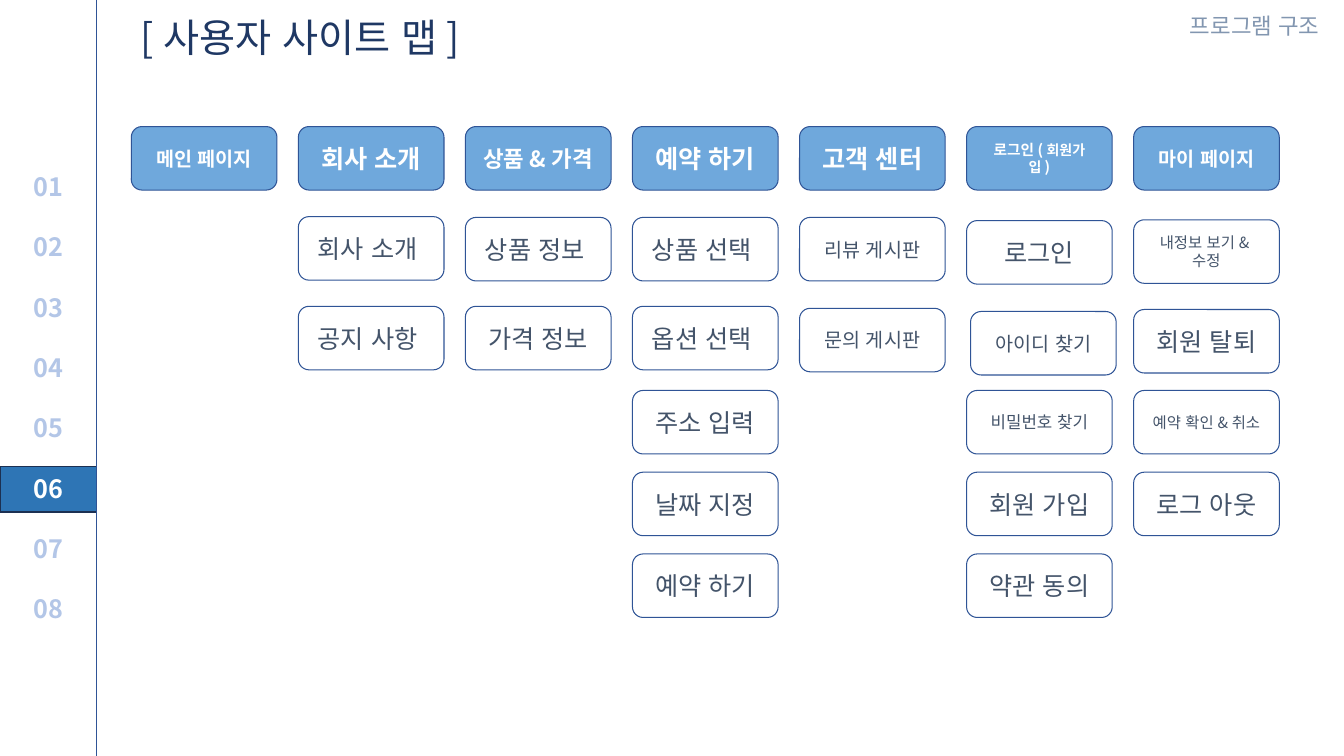
from dataclasses import dataclass

from lxml import etree
from pptx import Presentation
from pptx.dml.color import RGBColor
from pptx.enum.lang import MSO_LANGUAGE_ID
from pptx.enum.shapes import MSO_CONNECTOR, MSO_SHAPE
from pptx.enum.text import MSO_ANCHOR, PP_ALIGN
from pptx.oxml.ns import qn
from pptx.util import Cm, Pt

KOREAN = MSO_LANGUAGE_ID.KOREAN
STRAIGHT = MSO_CONNECTOR.STRAIGHT
RECTANGLE, ROUNDED = MSO_SHAPE.RECTANGLE, MSO_SHAPE.ROUNDED_RECTANGLE
MIDDLE, TOP = MSO_ANCHOR.MIDDLE, MSO_ANCHOR.TOP
CENTER, LEFT = PP_ALIGN.CENTER, PP_ALIGN.LEFT

TITLE = "[사용자 사이트 맵]"
SECTION = "프로그램 구조"
CHAPTERS = ["01", "02", "03", "04", "05", "06", "07", "08"]
CURRENT_CHAPTER = "06"

MENUS = [
    {"head": [("메인 페이지", 14)], "tops": (), "pages": []},
    {"head": [("회사 소개", 18)], "tops": (5.46, 7.72),
     "pages": [("회사 소개 ", 18), ("공지 사항 ", 18)]},
    {"head": [("상품&가격", 16)], "tops": (5.48, 7.72),
     "pages": [("상품 정보 ", 18), ("가격 정보", 18)]},
    {"head": [("예약 하기", 18)], "tops": (5.48, 7.72),
     "pages": [("상품 선택 ", 18), ("옵션 선택 ", 18), ("주소 입력", 18),
               ("날짜 지정", 18), ("예약 하기", 18)]},
    {"head": [("고객 센터", 18)], "tops": (5.48, 7.77),
     "pages": [("리뷰 게시판", 14), ("문의 게시판", 14)]},
    {"head": [("로그인(", 10.5), ("회원가입", 10), (")", 10.5)], "tops": (5.56, 7.85),
     "pages": [("로그인", 18), ("아이디 찾기", 14), ("비밀번호 찾기", 12),
               ("회원 가입", 18), ("약관 동의", 18)]},
    {"head": [("마이 페이지", 14)], "tops": (5.54, 7.8),
     "pages": [("내정보 보기&수정", 11), ("회원 탈퇴", 18), ("예약 확인&취소", 11),
               ("로그 아웃", 18)]},
]
SHIFTS = {"아이디 찾기": 0.1}


@dataclass(frozen=True)
class Theme:
    font: str = "Noto Sans CJK KR"
    white: str = "FFFFFF"
    navy: str = "1F3864"
    outline: str = "2F5496"
    header: str = "6FA8DC"
    body: str = "44546A"
    muted: str = "8296B0"
    chapter: str = "B3C6E7"
    marker: str = "2E75B5"
    marker_edge: str = "1C3052"
    title_size: float = 28
    section_size: float = 16
    chapter_size: float = 18
    chapter_gap: float = 21.5


THEME = Theme()
SLIDE_WIDTH, SLIDE_HEIGHT = 33.87, 19.05
SIDEBAR = 2.44
BOX_WIDTH, BOX_HEIGHT = 3.67, 1.6
GRID_LEFT, COLUMN_PITCH = 3.31, 4.21
HEAD_TOP, THIRD_TOP, ROW_PITCH = 3.19, 9.84, 2.06


def rgb(color):
    return RGBColor.from_string(color)


def add_span(para, text, *, size, color, bold=False):
    span = para.add_run()
    span.text = text
    font = span.font
    font.size, font.bold = Pt(size), bold
    font.color.rgb = rgb(color)
    font.name = THEME.font
    font.language_id = KOREAN
    east_asian = etree.SubElement(span._r.get_or_add_rPr(), qn("a:ea"))
    east_asian.set("typeface", THEME.font)


def set_frame(box, anchor, side, edge):
    frame = box.text_frame
    frame.word_wrap = True
    frame.vertical_anchor = anchor
    frame.margin_left = frame.margin_right = Cm(side)
    frame.margin_top = frame.margin_bottom = Cm(edge)
    return frame


def add_text(page, left, top, width, height):
    box = page.shapes.add_textbox(Cm(left), Cm(top), Cm(width), Cm(height))
    return set_frame(box, TOP, 0.25, 0.13)


def add_box(page, kind, left, top, width, height, *, fill, line, weight):
    box = page.shapes.add_shape(kind, Cm(left), Cm(top), Cm(width), Cm(height))
    box.shadow.inherit = False
    box.fill.solid()
    box.fill.fore_color.rgb = rgb(fill)
    box.line.color.rgb = rgb(line)
    box.line.width = Pt(weight)
    return box


def add_menu_box(page, left, top, spans, *, fill, color, bold=False):
    box = add_box(page, ROUNDED, left, top, BOX_WIDTH, BOX_HEIGHT,
                  fill=fill, line=THEME.outline, weight=0.75)
    para = set_frame(box, MIDDLE, 0.36, 0.32).paragraphs[0]
    para.alignment = CENTER
    for text, size in spans:
        add_span(para, text, size=size, color=color, bold=bold)


def add_sidebar(page):
    add_box(page, RECTANGLE, 0, 11.76, SIDEBAR, 1.14,
            fill=THEME.marker, line=THEME.marker_edge, weight=1)
    divider = page.shapes.add_connector(
        STRAIGHT, Cm(SIDEBAR), Cm(0), Cm(SIDEBAR), Cm(SLIDE_HEIGHT))
    divider.line.color.rgb = rgb(THEME.outline)
    divider.line.width = Pt(0.75)
    etree.SubElement(divider._element.spPr, qn("a:effectLst"))
    frame = add_text(page, 0.6, 4.19, 1.6, 11.81)
    for index, chapter in enumerate(CHAPTERS):
        para = frame.add_paragraph() if index else frame.paragraphs[0]
        if index:
            para.space_before = Pt(THEME.chapter_gap)
        color = THEME.white if chapter == CURRENT_CHAPTER else THEME.chapter
        add_span(para, chapter, size=THEME.chapter_size, color=color, bold=True)


def add_heading(page, text, place, *, size, color):
    para = add_text(page, *place).paragraphs[0]
    para.alignment = LEFT
    add_span(para, text, size=size, color=color)


def add_site_map(page):
    for column, menu in enumerate(MENUS):
        left = GRID_LEFT + column * COLUMN_PITCH
        add_menu_box(page, left, HEAD_TOP, menu["head"],
                     fill=THEME.header, color=THEME.white, bold=True)
        for row, entry in enumerate(menu["pages"]):
            top = menu["tops"][row] if row < 2 else THIRD_TOP + (row - 2) * ROW_PITCH
            add_menu_box(page, left + SHIFTS.get(entry[0], 0), top, [entry],
                         fill=THEME.white, color=THEME.body)


def main():
    deck = Presentation()
    deck.slide_width, deck.slide_height = Cm(SLIDE_WIDTH), Cm(SLIDE_HEIGHT)
    page = deck.slides.add_slide(deck.slide_layouts[6])
    add_sidebar(page)
    add_heading(page, SECTION, (29.74, 0.18, 4.13, 0.94),
                size=THEME.section_size, color=THEME.muted)
    add_site_map(page)
    add_heading(page, TITLE, (3.3, 0.2, 8.81, 3),
                size=THEME.title_size, color=THEME.navy)
    deck.save("out.pptx")


if __name__ == "__main__":
    main()
